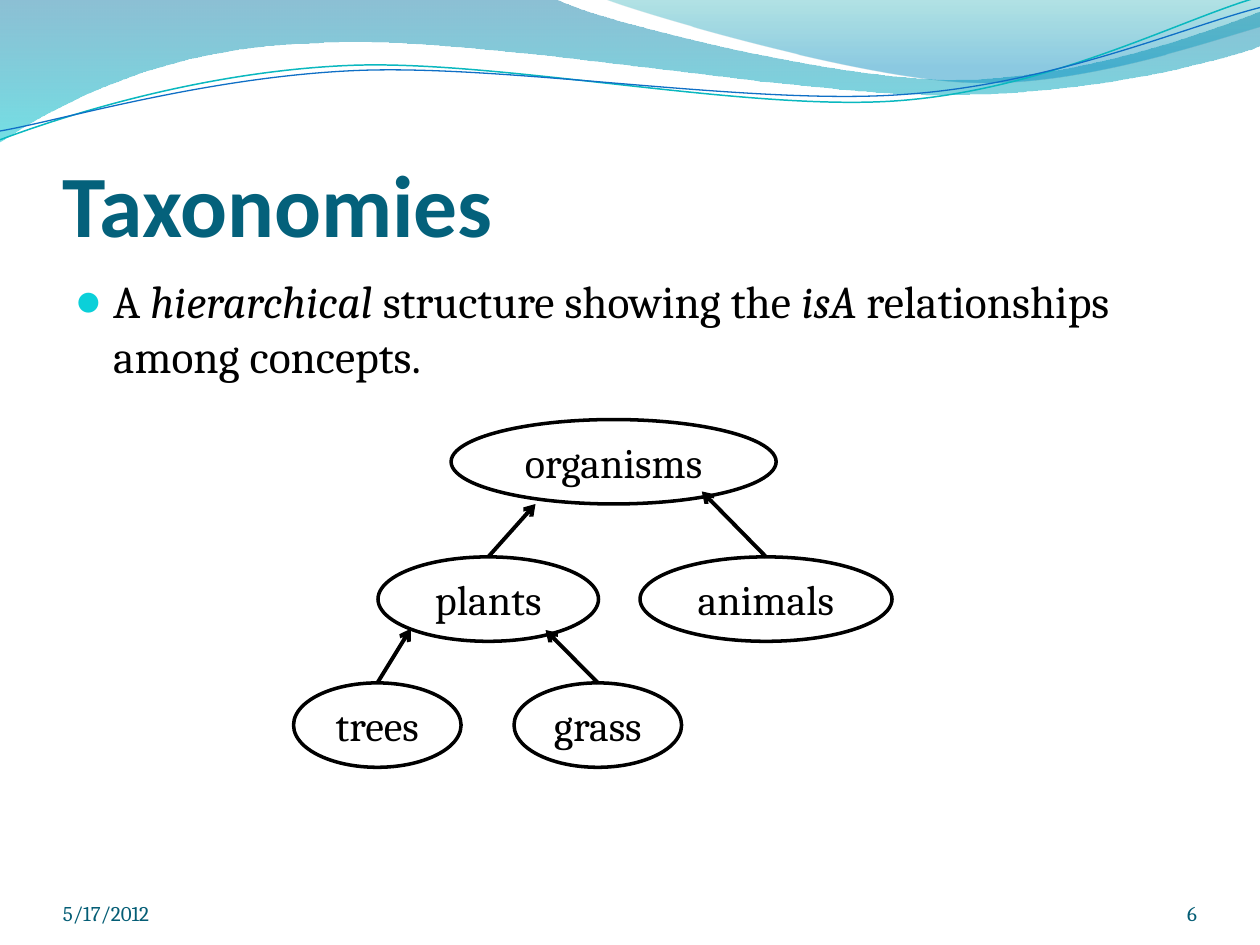
from lxml.etree import SubElement
from pptx import Presentation
from pptx.dml.color import RGBColor
from pptx.enum.shapes import MSO_CONNECTOR, MSO_SHAPE
from pptx.enum.text import MSO_ANCHOR, PP_ALIGN
from pptx.oxml.ns import qn
from pptx.util import Inches, Pt

COLORS = {
    "text": "000000", "title": "04617B", "footer": "045D75", "bullet": "0BD0D9",
    "wave_blue": "0074A1", "wave_cyan": "00C6CF",
    "crest_teal": "00A1A9", "crest_blue": "008BBF",
    "teal_line": "0AB8BF", "blue_line": "0F6FC6",
}
HEADING_FONT, BODY_FONT = "Calibri", "Cambria"

TITLE = "Taxonomies"
DEFINITION = [  # text, italic
    ("A ", False), ("hierarchical", True), (" structure showing the ", False),
    ("isA ", True), ("relationships among concepts.", False),
]
DATE, PAGE = "5/17/2012", "6"

# Concept: left, top, width
NODE_HEIGHT = 0.67
CONCEPTS = {
    "organisms": (3.58, 3.33, 2.58),
    "plants": (3, 4.42, 1.75),
    "animals": (5.08, 4.42, 2),
    "trees": (2.33, 5.42, 1.33),
    "grass": (4.08, 5.42, 1.33),
}
# Child concept and the point where its arrow meets the parent
IS_A = [
    ("trees", (3.26, 4.99)), ("grass", (4.33, 5)),
    ("plants", (4.25, 4)), ("animals", (5.57, 3.9)),
]

# Outlines: a start point, then points (2 numbers) or Bezier curves (6 numbers)
BANDS = [  # outline, gradient stops (position, colour, opacity %)
    ([(0, 0), (4.4, -0.01), (4.76, 0.17, 6.64, 0.63, 7.58, 0.63),
      (8.53, 0.63, 9.58, 0.26, 10, 0.09), (10.01, 0.36),
      (9.83, 0.44, 8.7, 0.76, 7.46, 0.75), (6.22, 0.75, 3.82, 0.28, 2.57, 0.34),
      (1.29, 0.36, 0.46, 0.83, -0.01, 1.13)],
     [(0, "wave_blue", 45), (1, "wave_cyan", 55)]),
    ([(4.79, -0.01), (5.09, 0.11, 6.82, 0.62, 7.69, 0.65),
      (8.56, 0.69, 9.61, 0.32, 10, 0.21), (10, 0)],
     [(0, "crest_teal", 30), (0.8, "crest_blue", 45)]),
]
STRANDS = [  # outline, colour, width
    ([(0, 1.11), (0.48, 0.93, 1.58, 0.57, 2.77, 0.52),
      (3.95, 0.47, 5.93, 0.89, 7.13, 0.8), (8.33, 0.71, 9.38, 0.15, 9.98, -0.02)],
     "teal_line", 0.85),
    ([(0, 1.04), (0.47, 0.96, 1.64, 0.61, 2.83, 0.56),
      (4.03, 0.51, 5.97, 0.84, 7.17, 0.75), (8.36, 0.67, 9.41, 0.21, 10, 0.06)],
     "blue_line", 0.75),
]


def color(name):
    return RGBColor.from_string(COLORS[name])


def add_outline(slide, outline, close):
    """Draw the outline through its end points, then bend its curved segments."""
    ends = [tuple(map(Inches, segment[-2:])) for segment in outline]
    builder = slide.shapes.build_freeform(*ends[0])
    builder.add_line_segments(ends[1:], close=close)
    shape = builder.convert_to_shape()
    shape.shadow.inherit = False
    lines = list(shape._element.spPr.iter(qn("a:lnTo")))
    for line, segment in zip(lines, outline[1:]):
        if len(segment) == 2:
            continue
        curve = SubElement(line.getparent(), qn("a:cubicBezTo"))
        for x, y in zip(segment[::2], segment[1::2]):
            SubElement(curve, qn("a:pt"), x=str(Inches(x) - shape.left),
                       y=str(Inches(y) - shape.top))
        line.getparent().replace(line, curve)
    return shape


def add_band(slide, outline, stops):
    band = add_outline(slide, outline, True)
    band.line.fill.background()
    band.fill.gradient()
    band.fill.gradient_angle = 270
    for stop, (position, name, _) in zip(band.fill.gradient_stops, stops):
        stop.position = position
        stop.color.rgb = color(name)
    fills = band._element.spPr.iter(qn("a:srgbClr"))
    for fill, (_, _, opacity) in zip(list(fills), stops):
        SubElement(fill, qn("a:alpha"), val=str(opacity * 1000))


def add_strand(slide, outline, name, width):
    strand = add_outline(slide, outline, False)
    strand.fill.background()
    strand.line.color.rgb = color(name)
    strand.line.width = Pt(width)


def style(font, size, name="text", face=BODY_FONT):
    font.size, font.name = Pt(size), face
    font.color.rgb = color(name)


def add_text_box(slide, box, anchor=MSO_ANCHOR.BOTTOM, insets=(0, 0, 0, 0)):
    frame = slide.shapes.add_textbox(*map(Inches, box)).text_frame
    frame.word_wrap = True
    frame.vertical_anchor = anchor
    (frame.margin_left, frame.margin_top,
     frame.margin_right, frame.margin_bottom) = map(Inches, insets)
    return frame.paragraphs[0]


def add_definition(slide):
    paragraph = add_text_box(slide, (0.5, 2.12, 9, 4.8), MSO_ANCHOR.TOP,
                             (0.1, 0.05, 0.1, 0.05))
    properties = paragraph._p.get_or_add_pPr()
    properties.set("marL", str(Inches(0.3)))
    properties.set("indent", str(Inches(-0.3)))
    bullet_color = SubElement(properties, qn("a:buClr"))
    SubElement(bullet_color, qn("a:srgbClr"), val=COLORS["bullet"])
    SubElement(properties, qn("a:buSzPct"), val="95000")
    SubElement(properties, qn("a:buFont"), typeface=HEADING_FONT)
    SubElement(properties, qn("a:buChar"), char="●")
    for text, italic in DEFINITION:
        run = paragraph.add_run()
        run.text = text
        style(run.font, 26)
        run.font.italic = italic


def add_concept(slide, label, left, top, width):
    node = slide.shapes.add_shape(
        MSO_SHAPE.OVAL, *map(Inches, (left, top, width, NODE_HEIGHT)))
    node.shadow.inherit = False
    node.fill.background()
    node.line.color.rgb = color("text")
    node.line.width = Pt(2)
    frame = node.text_frame
    frame.text = label
    frame.word_wrap = False
    frame.vertical_anchor = MSO_ANCHOR.MIDDLE
    frame.paragraphs[0].alignment = PP_ALIGN.CENTER
    style(frame.paragraphs[0].runs[0].font, 24)
    return node


def add_is_a_arrow(slide, child, tip):
    x, y = map(Inches, tip)
    arrow = slide.shapes.add_connector(MSO_CONNECTOR.STRAIGHT, x, y, x, y)
    arrow.begin_connect(child, 0)
    arrow.line.color.rgb = color("text")
    arrow.line.width = Pt(2.25)
    SubElement(arrow.line._get_or_add_ln(), qn("a:tailEnd"), type="arrow")
    SubElement(arrow._element.spPr, qn("a:effectLst"))


def main():
    deck = Presentation()
    deck.slide_width, deck.slide_height = Inches(10), Inches(7.5)
    slide = deck.slides.add_slide(deck.slide_layouts[6])

    for band in BANDS:
        add_band(slide, *band)
    for strand in STRANDS:
        add_strand(slide, *strand)

    title = add_text_box(slide, (0.5, 0.77, 9, 1.25), insets=(0, 0.05, 0, 0))
    title.text = TITLE
    style(title.runs[0].font, 50, "title", HEADING_FONT)
    title.runs[0].font.bold = True
    add_definition(slide)

    for text, left, width, alignment in [(DATE, 0.5, 2.33, PP_ALIGN.LEFT),
                                         (PAGE, 8.67, 0.83, PP_ALIGN.RIGHT)]:
        footer = add_text_box(slide, (left, 6.95, width, 0.4))
        footer.text = text
        footer.alignment = alignment
        style(footer.runs[0].font, 12, "footer")

    nodes = {label: add_concept(slide, label, *place)
             for label, place in CONCEPTS.items()}
    for child, tip in IS_A:
        add_is_a_arrow(slide, nodes[child], tip)

    deck.save("out.pptx")


if __name__ == "__main__":
    main()
